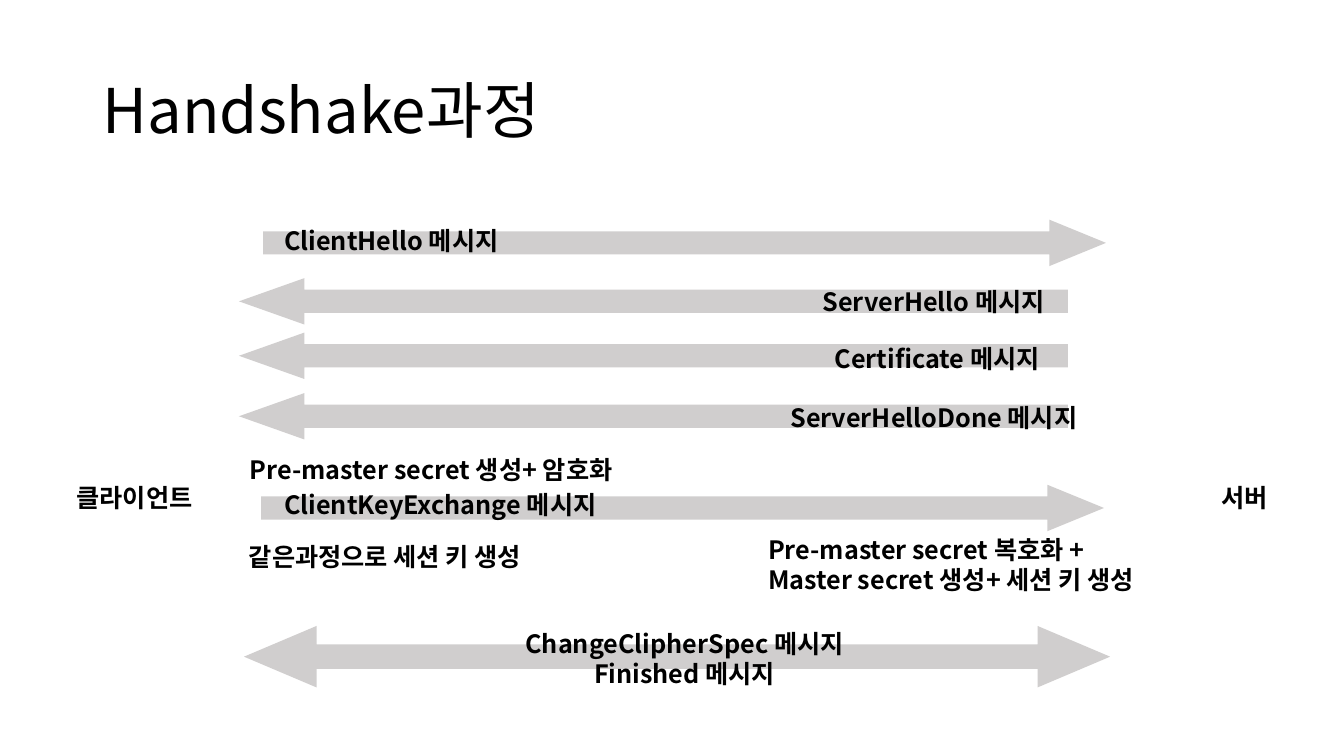
from dataclasses import dataclass
from typing import Any

from lxml import etree
from pptx import Presentation
from pptx import util as u
from pptx.dml import color
from pptx.enum import shapes, text
from pptx.oxml import ns


@dataclass(frozen=True)
class Theme:
    font: str = "Noto Sans CJK KR"
    ink: str = "000000"
    arrow: str = "D0CECE"
    title: int = 44
    label: int = 18


@dataclass(frozen=True)
class Label:
    left: float
    top: float
    width: float
    lines: tuple[str, ...]
    mid: bool = False


@dataclass(frozen=True)
class Arrow:
    kind: Any
    left: float
    top: float
    width: float
    label: Label
    high: float = 0.46
    adj: tuple[float, float] = (0.5, 1.22)


THEME = Theme()
KIND = shapes.MSO_SHAPE
RIGHT, LEFT, BOTH = KIND.RIGHT_ARROW, KIND.LEFT_ARROW, KIND.LEFT_RIGHT_ARROW
BACK = (0.5, 1.41)

ARROWS = (
    Arrow(RIGHT, 2.61, 2.18, 8.36, Label(2.72, 2.19, 2.79, ("ClientHello 메시지",))),
    Arrow(LEFT, 2.37, 2.76, 8.22,
          Label(8.06, 2.79, 2.79, ("ServerHello 메시지",)), adj=BACK),
    Arrow(LEFT, 2.37, 3.3, 8.22,
          Label(8.18, 3.36, 2.79, ("Certificate 메시지",)), adj=BACK),
    Arrow(LEFT, 2.37, 3.9, 8.22,
          Label(7.74, 3.94, 3.2, ("ServerHelloDone 메시지",)), adj=BACK),
    Arrow(RIGHT, 2.59, 4.81, 8.36,
          Label(2.72, 4.81, 3.38, ("ClientKeyExchange 메시지",))),
    Arrow(BOTH, 2.42, 6.21, 8.59,
          Label(4.6, 6.18, 4.38,
                ("ChangeClipherSpec 메시지", "Finished 메시지"), mid=True),
          high=0.61, adj=(0.4, 1.18)),
)

NOTES = (
    Label(0.37, 4.74, 1.93, ("클라이언트",), mid=True),
    Label(11.38, 4.74, 1.93, ("서버",), mid=True),
    Label(2.38, 4.46, 4.3, ("Pre-master secret 생성+ 암호화",)),
    Label(7.52, 5.25, 4.38,
          ("Pre-master secret 복호화 +", "Master secret 생성+ 세션 키 생성")),
    Label(2.37, 5.32, 4.3, ("같은과정으로 세션 키 생성",)),
)


def add_run(para: Any, words: str, size: int, bold: bool = False) -> None:
    run = para.add_run()
    run.text = words
    run.font.size = u.Pt(size)
    run.font.bold = bold
    run.font.name = THEME.font
    run.font.color.rgb = color.RGBColor.from_string(THEME.ink)
    east = etree.SubElement(run.font._element, ns.qn("a:ea"))
    east.set("typeface", THEME.font)


def add_title(slide: Any, words: str) -> None:
    title = slide.shapes.title
    title.left, title.top = u.Inches(0.92), u.Inches(0.4)
    title.width, title.height = u.Inches(11.5), u.Inches(1.45)
    frame = title.text_frame
    frame.vertical_anchor = text.MSO_ANCHOR.MIDDLE
    para = frame.paragraphs[0]
    para.alignment = text.PP_ALIGN.LEFT
    para.line_spacing = 0.9
    add_run(para, words, THEME.title)


def add_label(tree: Any, label: Label) -> None:
    high = 0.4 + 0.31 * (len(label.lines) - 1)
    box = tree.add_textbox(u.Inches(label.left), u.Inches(label.top),
                           u.Inches(label.width), u.Inches(high))
    frame = box.text_frame
    frame.word_wrap = True
    frame.auto_size = text.MSO_AUTO_SIZE.SHAPE_TO_FIT_TEXT
    for row, words in enumerate(label.lines):
        para = frame.add_paragraph() if row else frame.paragraphs[0]
        para.alignment = text.PP_ALIGN.CENTER if label.mid else text.PP_ALIGN.LEFT
        add_run(para, words, THEME.label, bold=True)


def add_arrow(slide: Any, arrow: Arrow) -> None:
    tree = slide.shapes.add_group_shape().shapes
    shape = tree.add_shape(arrow.kind, u.Inches(arrow.left), u.Inches(arrow.top),
                           u.Inches(arrow.width), u.Inches(arrow.high))
    for spot, value in enumerate(arrow.adj):
        shape.adjustments[spot] = value
    shape.shadow.inherit = False
    shape.fill.solid()
    shape.fill.fore_color.rgb = color.RGBColor.from_string(THEME.arrow)
    shape.line.fill.background()
    add_label(tree, arrow.label)


def main() -> None:
    deck = Presentation()
    deck.slide_width, deck.slide_height = u.Inches(13.33), u.Inches(7.5)
    slide = deck.slides.add_slide(deck.slide_layouts[5])
    add_title(slide, "Handshake과정")
    for arrow in ARROWS:
        add_arrow(slide, arrow)
    for note in NOTES:
        add_label(slide.shapes, note)
    deck.save("out.pptx")


if __name__ == "__main__":
    main()
